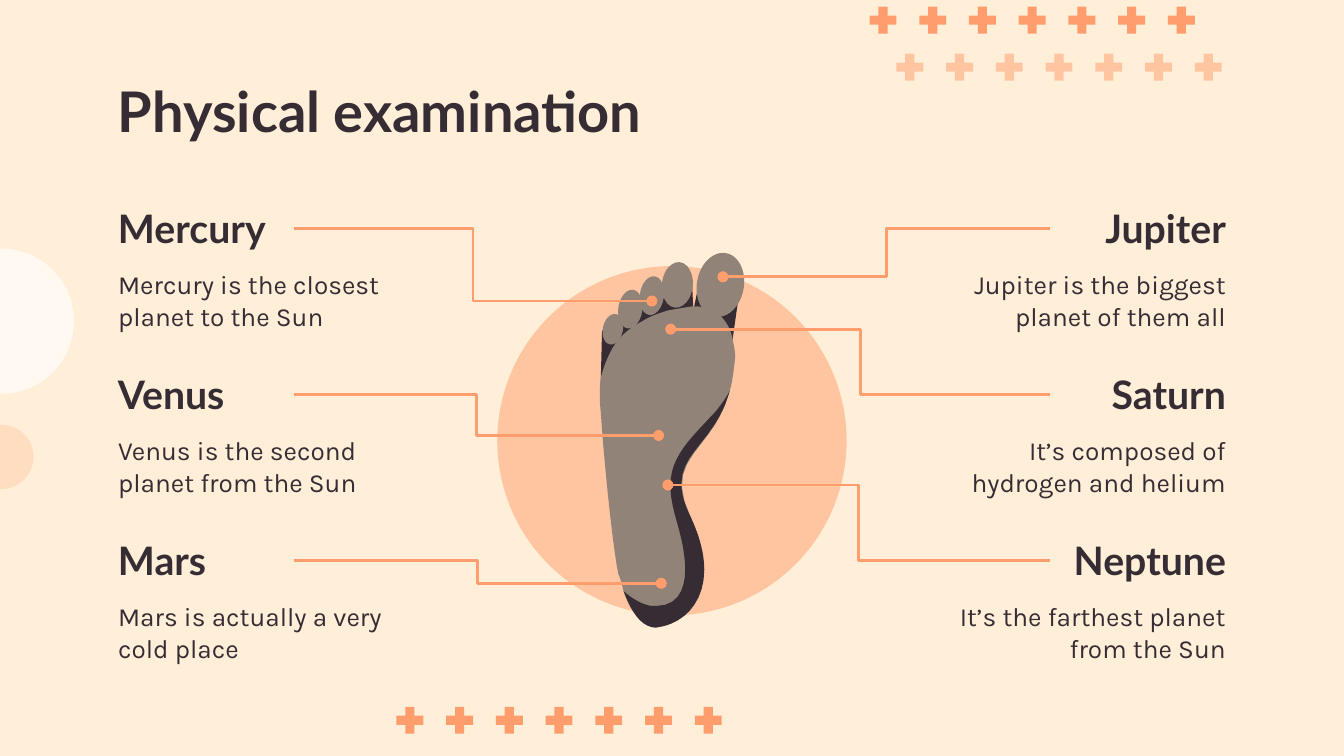
from dataclasses import dataclass

from lxml.etree import SubElement
from pptx import Presentation
from pptx.dml.color import RGBColor
from pptx.enum.shapes import MSO_CONNECTOR, MSO_SHAPE
from pptx.enum.text import MSO_ANCHOR, PP_ALIGN
from pptx.oxml.ns import qn
from pptx.util import Cm, Pt

CREAM = RGBColor(0xFF, 0xEF, 0xD9)
ORANGE = RGBColor(0xFF, 0x9D, 0x6C)
WHITE = RGBColor(0xFF, 0xFF, 0xFF)
DARK = RGBColor(0x36, 0x2C, 0x34)
SKIN = RGBColor(0x91, 0x83, 0x77)

Point = tuple[float, float]
LEFT_MARGIN, RIGHT_MARGIN = 0.78, 9.22
LABEL_WIDTH, DETAIL_WIDTH = 1.4, 2.25
FIRST_ROW, ROW_PITCH = 1.49, 1.235
PLUS_COUNT, PLUS_PITCH, PLUS_SIZE = 7, 0.37, 0.2


@dataclass
class PlusRow:
    left: float
    top: float
    opacity: int = 100


@dataclass
class Disc:
    left: float
    top: float
    size: float
    color: RGBColor
    opacity: int


@dataclass
class Toe:
    center_x: float
    center_y: float
    width: float
    height: float
    tilt: float


@dataclass
class Finding:
    label: str
    detail: str
    row: int
    target: Point
    on_right: bool = False


PLUS_ROWS = [PlusRow(2.95, 5.26), PlusRow(6.67, 0.4, 51), PlusRow(6.47, 0.05)]
DISCS = [
    Disc(-0.23, 3.16, 0.48, ORANGE, 21),
    Disc(-0.53, 1.85, 1.08, WHITE, 66),
    Disc(3.7, 1.98, 2.6, ORANGE, 51),
]
TOES = [
    Toe(5.36, 2.12, 0.35, 0.48, 10),
    Toe(5.04, 2.12, 0.23, 0.34, 6),
    Toe(4.85, 2.2, 0.18, 0.29, 8),
    Toe(4.69, 2.3, 0.18, 0.29, 8),
    Toe(4.56, 2.45, 0.15, 0.23, 12),
]
TOE_SHADOWS = [
    [(4.63, 2.43), (4.48, 2.46), (4.47, 2.84), (4.64, 2.62)],
    [(4.78, 2.25), (4.6, 2.35), (4.64, 2.65), (4.81, 2.45)],
    [(4.94, 2.17), (4.77, 2.25), (4.78, 2.57), (4.98, 2.39)],
    [(5.15, 2.11), (4.93, 2.12), (4.91, 2.49), (5.16, 2.33)],
    [(5.2, 2.11), (5.12, 2.5), (5.45, 2.53), (5.5, 2.18)],
]
SOLE = [
    [(5.15, 2.28)],
    [(5.08, 2.29), (5.03, 2.3), (4.97, 2.31)],
    [(4.91, 2.33), (4.84, 2.35), (4.78, 2.39)],
    [(4.72, 2.42), (4.66, 2.46), (4.59, 2.54)],
    [(4.54, 2.61), (4.5, 2.7), (4.47, 2.81)],
    [(4.46, 2.89), (4.46, 2.97), (4.47, 3.07)],
    [(4.5, 3.5), (4.56, 4.07), (4.6, 4.27)],
    [(4.62, 4.31), (4.63, 4.36), (4.64, 4.4)],
    [(4.69, 4.54), (4.77, 4.67), (4.88, 4.67)],
    [(5.15, 4.64), (5.37, 4.35), (5.14, 3.85)],
    [(4.92, 3.39), (5.31, 3.37), (5.43, 2.91)],
    [(5.45, 2.84), (5.46, 2.75), (5.47, 2.66)],
    [(5.47, 2.61), (5.46, 2.57), (5.45, 2.52)],
    [(5.44, 2.46), (5.41, 2.4), (5.36, 2.35)],
    [(5.33, 2.32), (5.28, 2.3), (5.23, 2.29)],
    [(5.21, 2.28), (5.19, 2.28), (5.17, 2.28)],
]
ARCH_SHADOW = [
    [(5.43, 2.91)],
    [(5.39, 2.98), (5.34, 3.05), (5.28, 3.11)],
    [(5.17, 3.23), (5.04, 3.35), (5, 3.51)],
    [(4.95, 3.72), (5.07, 3.92), (5.09, 4.13)],
    [(5.1, 4.2), (5.14, 4.51), (4.88, 4.51)],
    [(4.85, 4.51)],
    [(4.78, 4.5), (4.71, 4.46), (4.64, 4.4)],
    [(4.69, 4.54), (4.77, 4.67), (4.88, 4.67)],
    [(5.07, 4.65), (5.24, 4.5), (5.24, 4.24)],
    [(5.24, 4.13), (5.21, 4), (5.14, 3.85)],
    [(5.09, 3.75), (5.07, 3.67), (5.07, 3.6)],
    [(5.07, 3.36), (5.33, 3.27), (5.43, 2.91)],
]
FINDINGS = [
    Finding("Mercury", "Mercury is the closest planet to the Sun", 0, (4.85, 2.24)),
    Finding("Venus", "Venus is the second planet from the Sun", 1, (4.9, 3.24)),
    Finding("Mars", "Mars is actually a very cold place", 2, (4.92, 4.34)),
    Finding("Jupiter", "Jupiter is the biggest planet of them all", 0, (5.38, 2.06), True),
    Finding("Saturn", "It’s composed of hydrogen and helium", 1, (4.99, 2.45), True),
    Finding("Neptune", "It’s the farthest planet from the Sun", 2, (4.97, 3.61), True),
]


def inch(value: float) -> Cm:
    """Convert a length on the inch grid to Cm."""
    return Cm(value * 2.54)


def paint(shape, color: RGBColor, opacity: int = 100) -> None:
    """Fill a shape flat, without outline or shadow."""
    shape.shadow.inherit = False
    shape.fill.solid()
    shape.fill.fore_color.rgb = color
    shape.line.fill.background()
    if opacity < 100:
        color_node = shape.fill._xPr.find(".//" + qn("a:srgbClr"))
        SubElement(color_node, qn("a:alpha"), val=str(opacity * 1000))


def add_preset(page, kind, left: float, top: float, width: float, height: float,
               color: RGBColor, opacity: int = 100):
    """Add a painted preset shape."""
    shape = page.shapes.add_shape(kind, inch(left), inch(top), inch(width), inch(height))
    paint(shape, color, opacity)
    return shape


def add_plus_row(page, row: PlusRow) -> None:
    """Draw an evenly spaced row of plus signs."""
    for index in range(PLUS_COUNT):
        plus = add_preset(page, MSO_SHAPE.CROSS, row.left + index * PLUS_PITCH, row.top,
                          PLUS_SIZE, PLUS_SIZE, ORANGE, row.opacity)
        plus.adjustments[0] = 0.33


def flatten(segments: list[list[Point]], steps: int = 10) -> list[Point]:
    """Turn lines and cubic curves into a list of points."""
    points = [segments[0][0]]
    for segment in segments[1:]:
        if len(segment) == 1:
            points += segment
            continue
        controls = [points[-1], *segment]
        for step in range(1, steps + 1):
            t = step / steps
            weights = ((1 - t) ** 3, 3 * t * (1 - t) ** 2, 3 * t * t * (1 - t), t ** 3)
            points.append(tuple(sum(w * p[axis] for w, p in zip(weights, controls))
                                for axis in (0, 1)))
    return points


def add_outline(page, points: list[Point], color: RGBColor) -> None:
    """Draw a closed painted outline."""
    start, *rest = [(inch(x), inch(y)) for x, y in points]
    builder = page.shapes.build_freeform(*start)
    builder.add_line_segments(rest, close=True)
    paint(builder.convert_to_shape(), color)


def add_text(page, text: str, left: float, top: float, width: float, height: float,
             font: str, size: int, bold: bool = False, align=PP_ALIGN.LEFT,
             anchor=MSO_ANCHOR.TOP) -> None:
    """Add a wrapped one-paragraph text box."""
    box = page.shapes.add_textbox(inch(left), inch(top), inch(width), inch(height))
    frame = box.text_frame
    frame.word_wrap = True
    frame.vertical_anchor = anchor
    frame.margin_left = frame.margin_right = frame.margin_top = frame.margin_bottom = Cm(0.25)
    para = frame.paragraphs[0]
    para.text = text
    para.alignment = align
    para.font.name, para.font.size, para.font.bold = font, Pt(size), bold
    para.font.color.rgb = DARK


def add_finding(page, finding: Finding) -> None:
    """Draw a label, its detail and the leader to the foot."""
    top = FIRST_ROW + finding.row * ROW_PITCH
    label_left = detail_left = LEFT_MARGIN
    leader_start, align = 2.19, PP_ALIGN.LEFT
    if finding.on_right:
        label_left, detail_left = RIGHT_MARGIN - LABEL_WIDTH, RIGHT_MARGIN - DETAIL_WIDTH
        leader_start, align = 7.81, PP_ALIGN.RIGHT
    add_text(page, finding.label, label_left, top, LABEL_WIDTH, 0.41, "Lato", 21, True,
             align, MSO_ANCHOR.MIDDLE)
    add_text(page, finding.detail, detail_left, top + 0.41, DETAIL_WIDTH, 0.67, "Karla", 14,
             align=align)
    leader = page.shapes.add_connector(MSO_CONNECTOR.ELBOW, inch(leader_start),
                                       inch(top + 0.21), *map(inch, finding.target))
    leader.line.color.rgb = ORANGE
    leader.line.width = Pt(1.5)
    SubElement(leader.line._get_or_add_ln(), qn("a:tailEnd"), type="oval")
    SubElement(leader._element.spPr, qn("a:effectLst"))


def main() -> None:
    """Build the slide and save it."""
    deck = Presentation()
    deck.slide_width, deck.slide_height = inch(10), inch(5.625)
    page = deck.slides.add_slide(deck.slide_layouts[6])
    page.background.fill.solid()
    page.background.fill.fore_color.rgb = CREAM
    for row in PLUS_ROWS:
        add_plus_row(page, row)
    for disc in DISCS:
        add_preset(page, MSO_SHAPE.OVAL, disc.left, disc.top, disc.size, disc.size,
                   disc.color, disc.opacity)
    for shadow in TOE_SHADOWS:
        add_outline(page, shadow, DARK)
    add_outline(page, flatten(SOLE), SKIN)
    for toe in TOES:
        oval = add_preset(page, MSO_SHAPE.OVAL, toe.center_x - toe.width / 2,
                          toe.center_y - toe.height / 2, toe.width, toe.height, SKIN)
        oval.rotation = toe.tilt
    add_outline(page, flatten(ARCH_SHADOW), DARK)
    add_text(page, "Physical examination", LEFT_MARGIN, 0.47, 8.44, 0.51, "Lato", 30, True)
    for finding in FINDINGS:
        add_finding(page, finding)
    deck.save("out.pptx")


if __name__ == "__main__":
    main()
